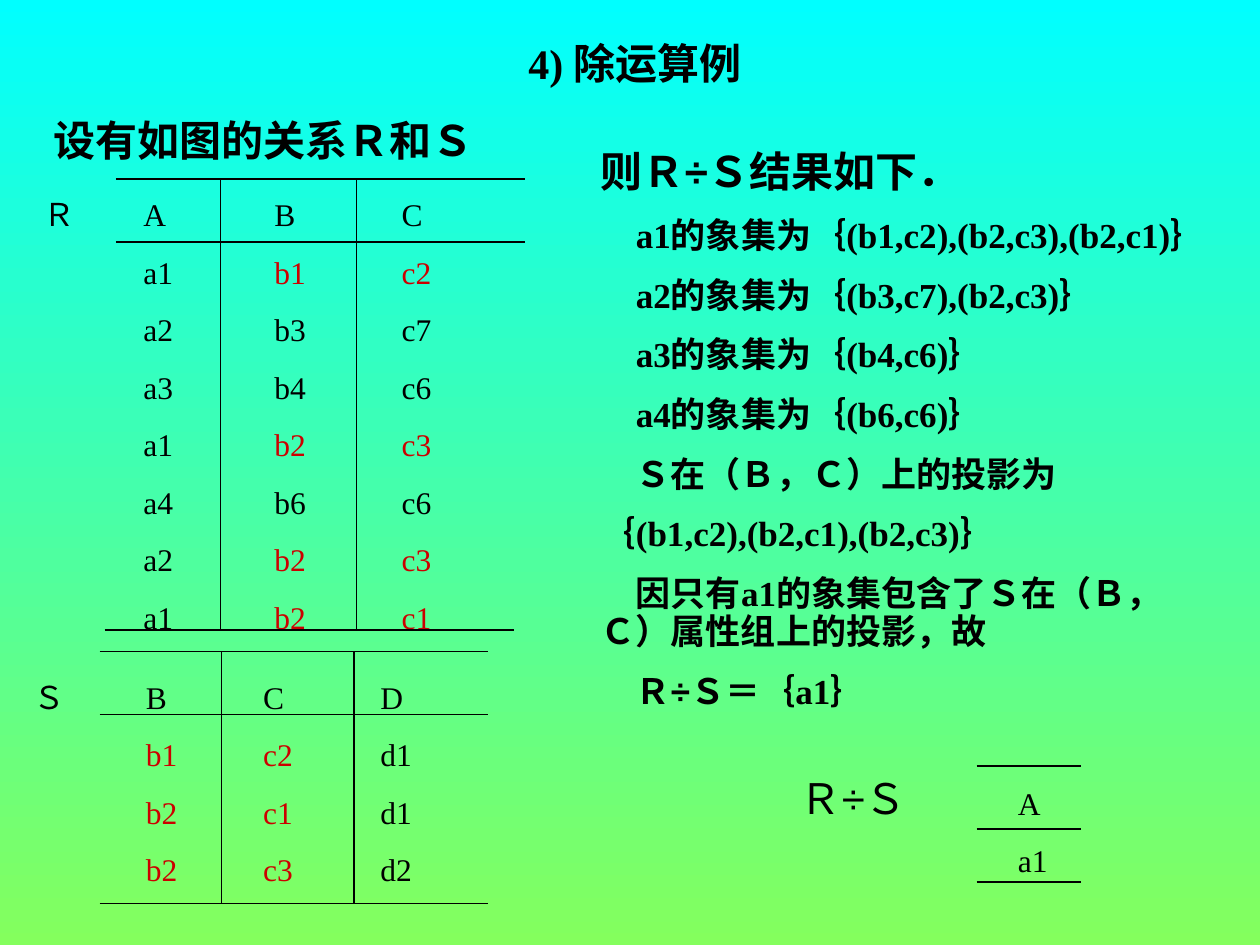
from lxml import etree
from pptx import Presentation
from pptx.dml.color import RGBColor
from pptx.enum.shapes import MSO_CONNECTOR
from pptx.enum.text import PP_ALIGN
from pptx.oxml.ns import qn
from pptx.util import Inches, Pt

STRAIGHT = MSO_CONNECTOR.STRAIGHT
CENTER = PP_ALIGN.CENTER
BLACK, RED = "000000", "CC0000"


def color(value):
    return RGBColor.from_string(value)


def add_lines(slide, box, lines, sizes, bold=False, spacing=None, stops=()):
    area = slide.shapes.add_textbox(*map(Inches, box)).text_frame
    area.word_wrap = True
    for index, (runs, size) in enumerate(zip(lines, sizes)):
        line = area.paragraphs[0] if index == 0 else area.add_paragraph()
        line.space_before = Pt(size * 0.625)
        line.line_spacing = spacing
        if stops:
            tabs = etree.SubElement(line._p.get_or_add_pPr(), qn("a:tabLst"))
            for stop in stops:
                etree.SubElement(tabs, qn("a:tab"), pos=str(Inches(stop)), algn="l")
        line.font.name = "Times New Roman"
        line.font.size = Pt(size)
        line.font.bold = bold
        for text, ink in runs:
            for part in text.replace("÷", "|÷|").split("|"):
                run = line.add_run()
                run.text = part
                run.font.color.rgb = color(ink)
                if part == "÷":
                    run.font.name = "Arial"
    return area


prs = Presentation()
prs.slide_width, prs.slide_height = Inches(10), Inches(7.5)
slide = prs.slides.add_slide(prs.slide_layouts[6])
background = slide.background.fill
background.gradient()
background.gradient_angle = 270
for stop, shade in zip(background.gradient_stops, ("00FFFF", "84FF5D")):
    stop.color.rgb = color(shade)

heading = add_lines(
    slide, (0.33, 0.25, 9.42, 1.11),
    [[("4) 除运算例", BLACK)], [("设有如图的关系Ｒ和Ｓ", BLACK)]],
    (24, 24), bold=True)
heading.paragraphs[0].alignment = CENTER

projection = {("b1", "c2"), ("b2", "c1"), ("b2", "c3")}
relations = [
    ((0.92, 1.5, 3.33, 3.6), (0.12, 1.16, 2.17),
     ["A B C", "a1 b1 c2", "a2 b3 c7", "a3 b4 c6", "a1 b2 c3",
      "a4 b6 c6", "a2 b2 c3", "a1 b2 c1"]),
    ((0.87, 5.33, 2.91, 1.77), (0.19, 1.12, 2.05),
     ["B C D", "b1 c2 d1", "b2 c1 d1", "b2 c3 d2"]),
    ((7.83, 6.17, 0.83, 0.86), (0.15,), ["A", "a1"]),
]
for box, stops, rows in relations:
    lines = []
    for row in rows:
        cells = row.split()
        matched = {cell for pair in zip(cells, cells[1:]) if pair in projection
                   for cell in pair}
        lines.append([("\t" + cell, RED if cell in matched else BLACK)
                      for cell in cells])
    add_lines(slide, box, lines, [18] * len(lines), stops=stops)

rules = [(0.92, y, 4.17, y) for y in (1.42, 1.92)]
rules += [(0.83, 5, 4.08, 5)]
rules += [(x, 1.42, x, 5) for x in (1.75, 2.83)]
rules += [(0.79, y, 3.87, y) for y in (5.17, 5.67, 7.17)]
rules += [(x, 5.17, x, 7.17) for x in (1.76, 2.81)]
rules += [(7.75, y, 8.58, y) for y in (6.08, 6.58, 7)]
for ends in rules:
    rule = slide.shapes.add_connector(STRAIGHT, *map(Inches, ends))
    rule.line.color.rgb = color(BLACK)
    rule.line.width = Pt(0.75)
    etree.SubElement(rule._element.spPr, qn("a:effectLst"))

for box, name, size in [
    ((0.25, 1.5, 0.42, 0.4), "Ｒ", 18),
    ((0.17, 5.33, 0.58, 0.4), "Ｓ", 18),
    ((6.25, 6.08, 1.33, 0.5), "Ｒ÷Ｓ", 24),
]:
    add_lines(slide, box, [[(name, BLACK)]], [size])

derivation = [
    "则Ｒ÷Ｓ结果如下．",
    "　a1的象集为｛(b1,c2),(b2,c3),(b2,c1)｝",
    "　a2的象集为｛(b3,c7),(b2,c3)｝",
    "　a3的象集为｛(b4,c6)｝",
    "　a4的象集为｛(b6,c6)｝",
    "　Ｓ在（Ｂ，Ｃ）上的投影为",
    "｛(b1,c2),(b2,c1),(b2,c3)｝",
    "　因只有a1的象集包含了Ｓ在（Ｂ，Ｃ）属性组上的投影，故",
    "　Ｒ÷Ｓ＝｛a1｝",
]
add_lines(slide, (4.67, 1.15, 5.17, 5.19), [[(step, BLACK)] for step in derivation],
          [24] + [20] * (len(derivation) - 1), bold=True, spacing=0.9)

prs.save("out.pptx")
